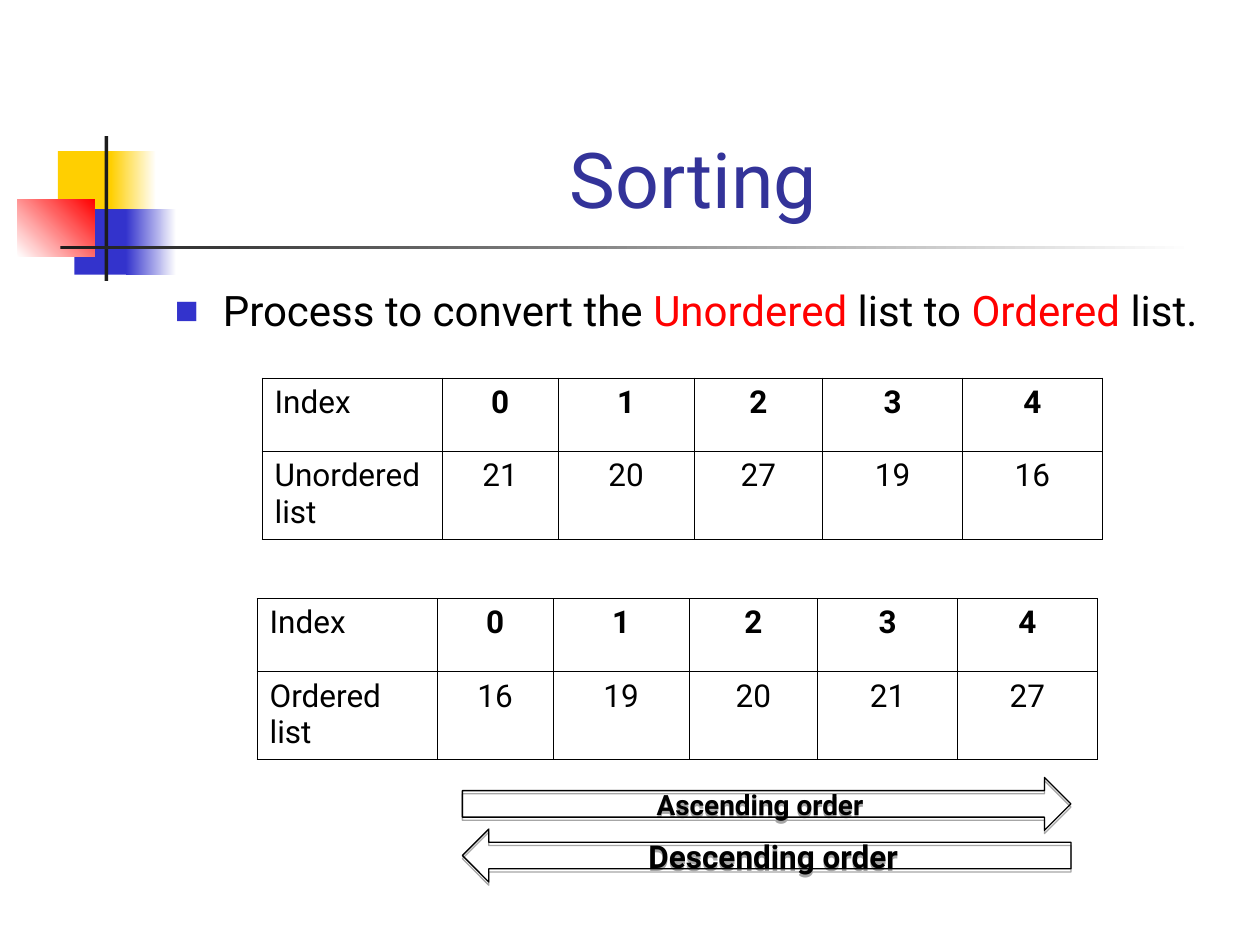
from lxml import etree
from pptx import Presentation
from pptx.dml.color import RGBColor
from pptx.enum.shapes import MSO_SHAPE
from pptx.enum.text import MSO_ANCHOR, PP_ALIGN
from pptx.oxml.ns import qn
from pptx.util import Inches, Pt

RECT = MSO_SHAPE.RECTANGLE
RIGHT = MSO_SHAPE.RIGHT_ARROW
LEFT = MSO_SHAPE.LEFT_ARROW
CENTER = PP_ALIGN.CENTER
BOTTOM = MSO_ANCHOR.BOTTOM
MIDDLE = MSO_ANCHOR.MIDDLE
FONT = "Roboto"
COLORS = {
    "white": "FFFFFF", "black": "000000", "dark": "1C1C1C", "gold": "FFCF01",
    "blue": "3333CC", "red": "FF0000", "title": "333399",
}


def add_run(para, text, size, color="black", bold=False):
    run = para.add_run()
    run.text = text
    run.font.name = FONT
    run.font.size = Pt(size)
    run.font.bold = bold
    run.font.color.rgb = RGBColor.from_string(COLORS[color])


def add_node(parent, tag, **attrs):
    node = etree.SubElement(parent, qn(tag))
    for name, value in attrs.items():
        node.set(name, str(value))
    return node


prs = Presentation()
prs.slide_width = Inches(10)
prs.slide_height = Inches(7.5)
slide = prs.slides.add_slide(prs.slide_layouts[6])
shapes = slide.shapes

# Corner blocks and rules: place, colours from start to end, angle
decor = [
    ((0.46, 1.2, 0.48, 0.52), ["gold"], 0),
    ((0.88, 1.2, 0.36, 0.52), ["gold", "white"], 0),
    ((0.59, 1.66, 0.46, 0.52), ["blue"], 0),
    ((1, 1.66, 0.4, 0.52), ["blue", "white"], 0),
    ((0.14, 1.58, 0.61, 0.46), ["white", "red"], 45),
    ((0.83, 1.08, 0.03, 1.15), ["dark"], 0),
    ((0.48, 1.95, 9, 0.03), ["dark", "white"], 0),
]
for place, tones, angle in decor:
    block = shapes.add_shape(RECT, *map(Inches, place))
    block.shadow.inherit = False
    block.line.fill.background()
    if len(tones) == 1:
        block.fill.solid()
        block.fill.fore_color.rgb = RGBColor.from_string(COLORS[tones[0]])
    else:
        block.fill.gradient()
        block.fill.gradient_angle = angle
        for stop, tone in zip(block.fill.gradient_stops, tones):
            stop.color.rgb = RGBColor.from_string(COLORS[tone])

# Title
title = shapes.add_textbox(Inches(1.32), Inches(0.23), Inches(8.52), Inches(1.6))
frame = title.text_frame
frame.word_wrap = True
frame.vertical_anchor = BOTTOM
para = frame.paragraphs[0]
para.alignment = CENTER
add_run(para, "Sorting ", 44, "title")

# Bullet
body = shapes.add_textbox(Inches(1.29), Inches(2.21), Inches(8.5), Inches(4.5))
frame = body.text_frame
frame.word_wrap = True
para = frame.paragraphs[0]
props = para._p.get_or_add_pPr()
props.set("marL", str(Inches(0.38)))
props.set("indent", str(-Inches(0.38)))
add_node(add_node(props, "a:buClr"), "a:srgbClr", val=COLORS["blue"])
add_node(props, "a:buSzPct", val=60000)
add_node(props, "a:buFont", typeface=FONT)
add_node(props, "a:buChar", char="■")
for text, color in [
    ("Process to convert the ", "black"), ("Unordered", "red"),
    (" list to ", "black"), ("Ordered", "red"), (" list.", "black"),
]:
    add_run(para, text, 24, color)

# Tables
widths = [1.43, 0.92, 1.08, 1.02, 1.11, 1.11]
heights = [0.58, 0.7]
head = ["Index", "0", "1", "2", "3", "4"]
tables = [
    (2.08, 3, ["Unordered list", "21", "20", "27", "19", "16"]),
    (2.04, 4.75, ["Ordered list", "16", "19", "20", "21", "27"]),
]
for x, y, values in tables:
    table = shapes.add_table(2, len(widths), Inches(x), Inches(y),
                             Inches(sum(widths)), Inches(sum(heights))).table
    table.first_row = False
    table.horz_banding = False
    for col, width in zip(table.columns, widths):
        col.width = Inches(width)
    for r, texts in enumerate([head, values]):
        table.rows[r].height = Inches(heights[r])
        for c, text in enumerate(texts):
            cell = table.cell(r, c)
            para = cell.text_frame.paragraphs[0]
            if c > 0:
                para.alignment = CENTER
            add_run(para, text, 18, bold=r == 0 and c > 0)
            props = cell._tc.get_or_add_tcPr()
            for side in ("a:lnL", "a:lnR", "a:lnT", "a:lnB"):
                line = add_node(props, side, w=Pt(0.45))
                add_node(add_node(line, "a:solidFill"), "a:srgbClr", val=COLORS["black"])
            cell.fill.background()

# Order arrows
arrows = [
    (RIGHT, 6.17, "Ascending order", 16),
    (LEFT, 6.58, "Descending order", 18),
]
for kind, y, text, size in arrows:
    arrow = shapes.add_shape(kind, Inches(3.67), Inches(y), Inches(4.83), Inches(0.42))
    arrow.fill.background()
    arrow.line.color.rgb = RGBColor.from_string(COLORS["black"])
    arrow.line.width = Pt(0.75)
    arrow.shadow.inherit = False
    effects = arrow._element.spPr.find(qn("a:effectLst"))
    shade = add_node(effects, "a:outerShdw", blurRad=0, dist=Pt(1.8),
                     dir=5400000, rotWithShape=0)
    add_node(add_node(shade, "a:srgbClr", val=COLORS["black"]), "a:alpha", val=35000)
    frame = arrow.text_frame
    frame.word_wrap = True
    frame.vertical_anchor = MIDDLE
    para = frame.paragraphs[0]
    para.alignment = CENTER
    add_run(para, text, size, bold=True)

prs.save("out.pptx")
